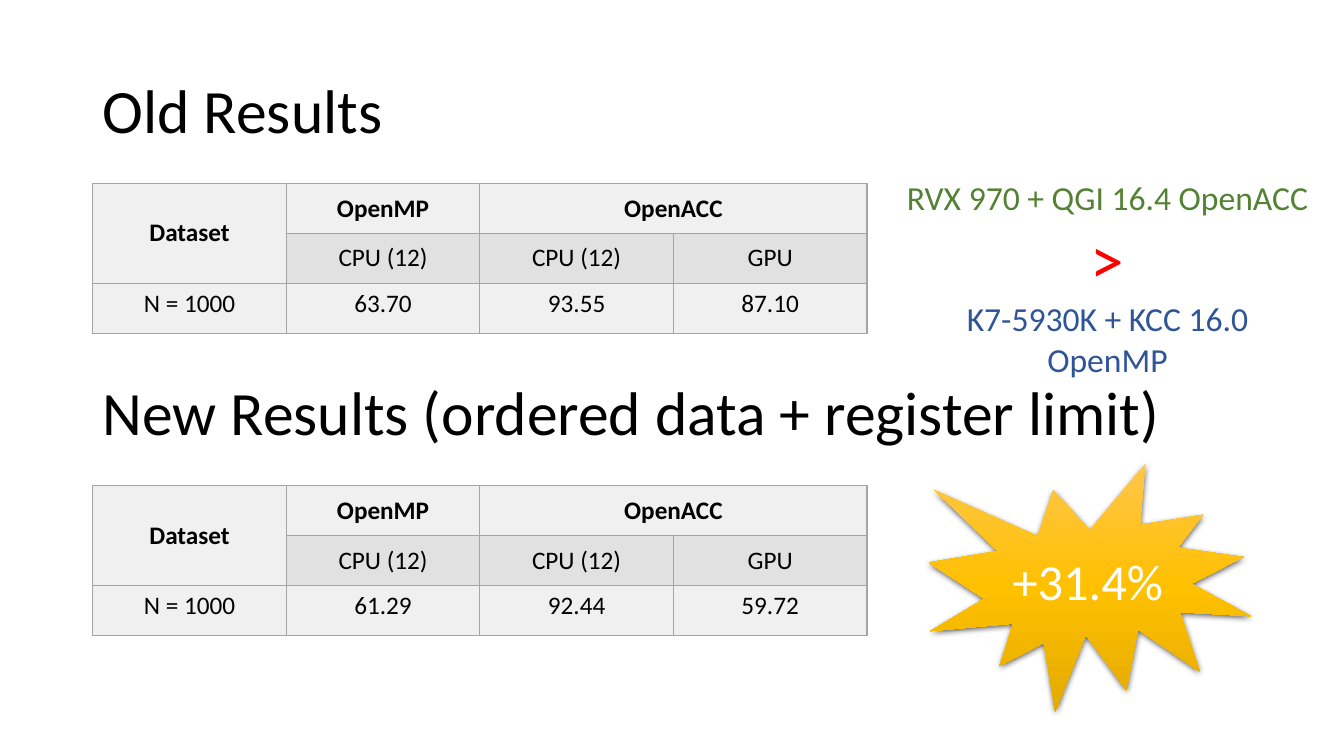
import pptx
import pptx.util
import pptx.oxml
import pptx.dml.color
import pptx.enum.shapes
import pptx.enum.text
from dataclasses import dataclass

# Content
HEAD = [["Dataset", "OpenMP", "OpenACC", ""],
        ["", "CPU (12)", "CPU (12)", "GPU"]]
BLOCKS = [
    ("Old Results", ["N = 1000", "63.70", "93.55", "87.10"]),
    ("New Results (ordered data + register limit)",
     ["N = 1000", "61.29", "92.44", "59.72"]),
]
MERGES = [((0, 0), (1, 0)), ((0, 2), (0, 3))]
GAIN = "+31.4%"
VERSUS = [("RVX 970 + QGI 16.4 OpenACC", "green", "note"),
          (">", "red", "sign"),
          ("K7-5930K + KCC 16.0 OpenMP", "blue", "note")]


@dataclass(frozen=True)
class Theme:
    font: str = "Calibri"
    black: str = "000000"
    white: str = "FFFFFF"
    green: str = "548235"
    red: str = "FF0000"
    blue: str = "2F5597"
    pale: str = "F0F0F0"
    grey: str = "E1E1E1"
    rule: str = "A5A5A5"
    gold: tuple = ((0, "FFC64B"), (50, "FFC000"), (100, "E3AB00"))
    title: int = 44
    cell: int = 18
    note: int = 24
    sign: int = 48
    gain: int = 36


T = Theme()
NS = 'xmlns:a="http://schemas.openxmlformats.org/drawingml/2006/main"'
MID = pptx.enum.text.MSO_ANCHOR.MIDDLE
TOP = pptx.enum.text.MSO_ANCHOR.TOP
LEFT = pptx.enum.text.PP_ALIGN.LEFT
CENTER = pptx.enum.text.PP_ALIGN.CENTER

# Grid, in inches
WIDE, HIGH = 13.33, 7.5
EDGE = 0.92
STEP = 0.4 * HIGH        # from one results block to the next
TITLE_Y, TITLE_H = 0.4, 1.45
TABLE_Y = 1.82
COL, ROW = 1.92, 0.495


def inch(*nums):
    return [pptx.util.Inches(n) for n in nums]


def rgb(code):
    return pptx.dml.color.RGBColor.from_string(code)


def xml(text):
    return pptx.oxml.parse_xml(text)


def write(para, text, size, color, align=CENTER, bold=False):
    para.alignment = align
    run = para.add_run()
    run.text = text
    font = run.font
    font.name, font.size, font.bold = T.font, pptx.util.Pt(size), bold
    font.color.rgb = rgb(color)


def add_title(slide, text, y):
    box = slide.shapes.add_textbox(
        *inch(EDGE, y, WIDE - 2 * EDGE, TITLE_H))
    frame = box.text_frame
    frame.word_wrap = True
    frame.vertical_anchor = MID
    para = frame.paragraphs[0]
    para.line_spacing = 0.9
    write(para, text, T.title, T.black, LEFT)


def edge(cell):
    """Rule all four sides of a table cell."""
    props = cell._tc.get_or_add_tcPr()
    for spot, side in enumerate("LRTB"):
        props.insert(spot, xml(
            f'<a:ln{side} {NS} w="12700"><a:solidFill>'
            f'<a:srgbClr val="{T.rule}"/></a:solidFill></a:ln{side}>'))


def add_grid(slide, rows, y):
    tall, wide = len(rows), len(rows[0])
    grid = slide.shapes.add_table(
        tall, wide, *inch(EDGE, y, wide * COL, tall * ROW)).table
    grid.first_row = grid.horz_banding = False
    for r, row in enumerate(rows):
        for c, text in enumerate(row):
            cell = grid.cell(r, c)
            cell.fill.solid()
            cell.fill.fore_color.rgb = rgb(T.grey if r == 1 and c else T.pale)
            cell.vertical_anchor = MID if r < len(HEAD) else TOP
            edge(cell)
            if text:
                write(cell.text_frame.paragraphs[0], text, T.cell, T.black,
                      bold=r == 0)
    for first, last in MERGES:
        grid.cell(*first).merge(grid.cell(*last))


def add_burst(slide):
    kind = pptx.enum.shapes.MSO_SHAPE.EXPLOSION1
    burst = slide.shapes.add_shape(kind, *inch(9.21, 4.6, 3.2, 2.46))
    burst.line.fill.background()
    stops = "".join(f'<a:gs pos="{at * 1000}"><a:srgbClr val="{code}"/></a:gs>'
                    for at, code in T.gold)
    burst.line._get_or_add_ln().addprevious(xml(
        f'<a:gradFill {NS} rotWithShape="1"><a:gsLst>{stops}</a:gsLst>'
        '<a:lin ang="5400000" scaled="0"/></a:gradFill>'))
    burst._element.spPr.append(xml(
        f'<a:effectLst {NS}><a:outerShdw blurRad="57150" dist="19050" '
        'dir="5400000" algn="ctr" rotWithShape="0">'
        f'<a:srgbClr val="{T.black}"><a:alpha val="63000"/></a:srgbClr>'
        '</a:outerShdw></a:effectLst>'))
    frame = burst.text_frame
    frame.vertical_anchor = MID
    write(frame.paragraphs[0], GAIN, T.gain, T.white)


def add_versus(slide):
    box = slide.shapes.add_textbox(*inch(8.87, 1.71, 4.23, 1.72))
    frame = box.text_frame
    frame.word_wrap = False
    for n, (text, color, size) in enumerate(VERSUS):
        para = frame.add_paragraph() if n else frame.paragraphs[0]
        write(para, text, getattr(T, size), getattr(T, color))


def main():
    deck = pptx.Presentation()
    deck.slide_width, deck.slide_height = inch(WIDE, HIGH)
    slide = deck.slides.add_slide(deck.slide_layouts[6])
    for n, (title, data) in enumerate(BLOCKS):
        add_title(slide, title, TITLE_Y + n * STEP)
        add_grid(slide, HEAD + [data], TABLE_Y + n * STEP)
    add_burst(slide)
    add_versus(slide)
    deck.save("out.pptx")


if __name__ == "__main__":
    main()
